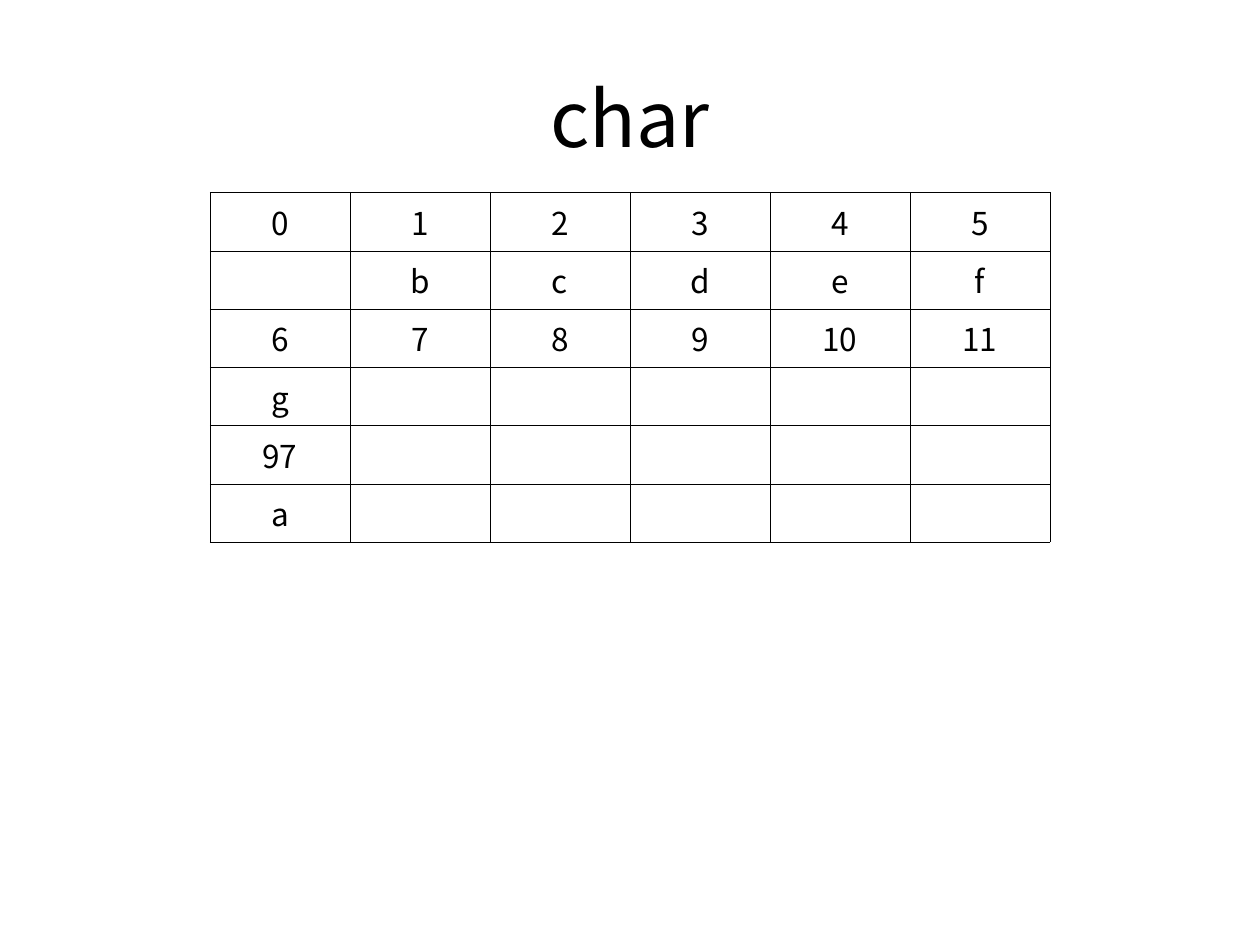
import pptx
import pptx.util
import pptx.dml.color
import pptx.enum.text
import pptx.oxml
import pptx.oxml.ns
from lxml import etree

Pt = pptx.util.Pt
FONT = "Noto Sans CJK KR"
BLACK = "000000"


def add_text(frame, text, size, color=BLACK):
    paragraph = frame.paragraphs[0]
    paragraph.alignment = pptx.enum.text.PP_ALIGN.CENTER
    run = paragraph.add_run()
    run.text = text
    run.font.name = FONT
    run.font.size = Pt(size)
    run.font.color.rgb = pptx.dml.color.RGBColor.from_string(color)


def add_borders(cell, width, color=BLACK):
    properties = cell._tc.get_or_add_tcPr()
    for position, side in enumerate(("lnL", "lnR", "lnT", "lnB")):
        line = etree.Element(pptx.oxml.ns.qn("a:" + side), w=str(Pt(width)))
        fill = etree.SubElement(line, pptx.oxml.ns.qn("a:solidFill"))
        etree.SubElement(fill, pptx.oxml.ns.qn("a:srgbClr"), val=color)
        properties.insert(position, line)


prs = pptx.Presentation()
prs.slide_width, prs.slide_height = Pt(720), Pt(540)
slide = prs.slides.add_slide(prs.slide_layouts[5])

# Title
title = slide.shapes.title
title.left, title.top, title.width, title.height = Pt(36), Pt(21.6), Pt(648), Pt(90)
title.text_frame.vertical_anchor = pptx.enum.text.MSO_ANCHOR.MIDDLE
add_text(title.text_frame, "char", 44)

# Character table: indexes above their letters, then the code of a
char_rows = [
    ["0", "1", "2", "3", "4", "5"],
    ["", "b", "c", "d", "e", "f"],
    ["6", "7", "8", "9", "10", "11"],
    ["g"],
    ["97"],
    ["a"],
]
column_count, column_width, row_height = 6, 80, 29.2
char_table = slide.shapes.add_table(
    len(char_rows), column_count, Pt(120), Pt(110),
    Pt(column_count * column_width), Pt(len(char_rows) * row_height)).table
char_table.first_row = False
char_table.horz_banding = False

for row, texts in enumerate(char_rows):
    char_table.rows[row].height = Pt(row_height)
    for column in range(column_count):
        cell = char_table.cell(row, column)
        cell.fill.background()
        add_borders(cell, 0.25)
        if column < len(texts) and texts[column]:
            add_text(cell.text_frame, texts[column], 18)

prs.save("out.pptx")
